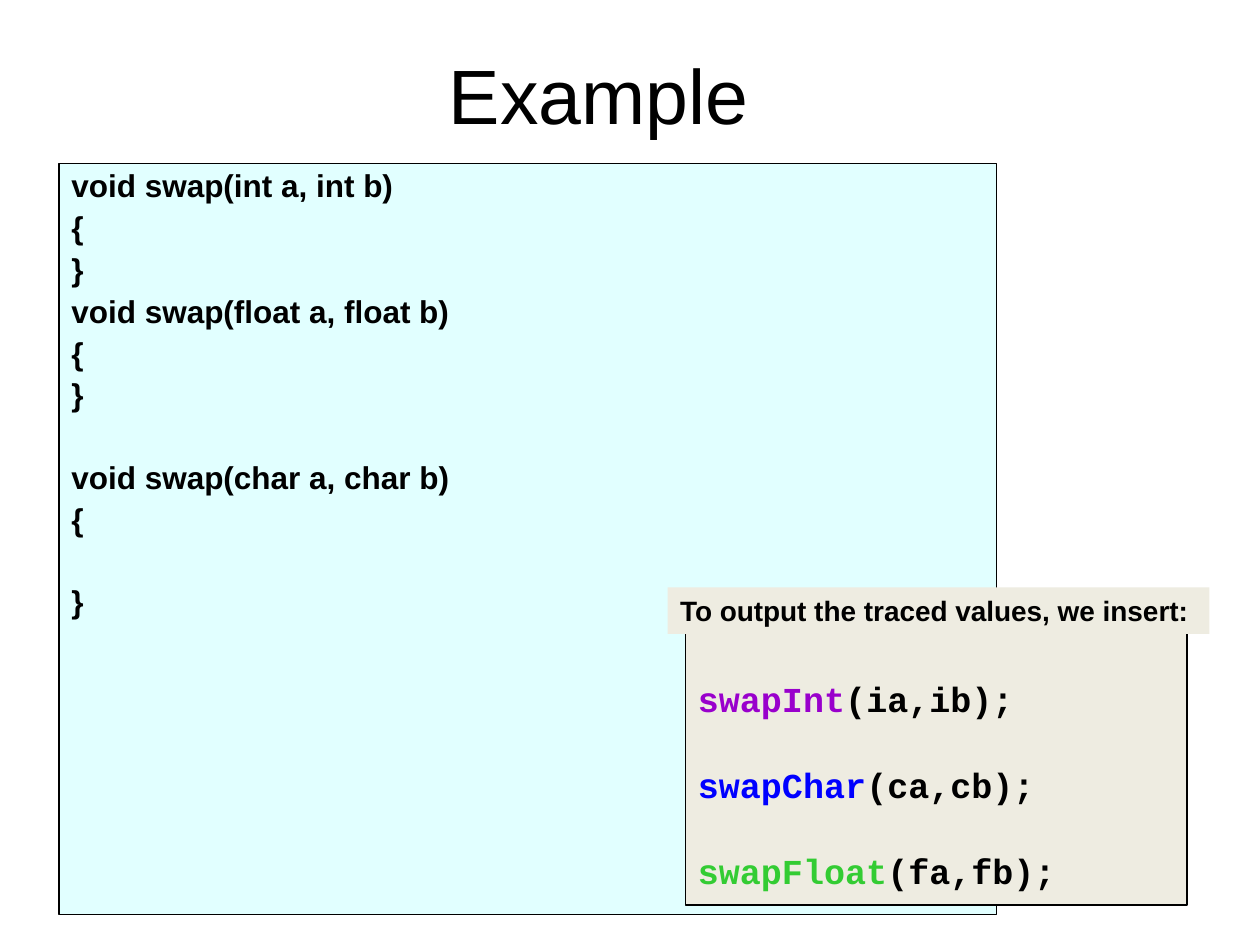
from pptx import Presentation
from pptx.dml.color import RGBColor
from pptx.enum.shapes import MSO_SHAPE
from pptx.enum.text import MSO_ANCHOR, PP_ALIGN
from pptx.util import Cm, Pt

RECTANGLE = MSO_SHAPE.RECTANGLE
TOP, MIDDLE, BOTTOM = MSO_ANCHOR.TOP, MSO_ANCHOR.MIDDLE, MSO_ANCHOR.BOTTOM
LEFT, CENTER = PP_ALIGN.LEFT, PP_ALIGN.CENTER

BLACK = RGBColor(0x00, 0x00, 0x00)
PALE_CYAN = RGBColor(0xE1, 0xFF, 0xFF)
BEIGE = RGBColor(0xEE, 0xEC, 0xE1)
PURPLE = RGBColor(0x99, 0x00, 0xCC)
BLUE = RGBColor(0x00, 0x00, 0xFF)
GREEN = RGBColor(0x33, 0xCC, 0x33)

SANS, MONO = "Arial", "Courier New"
LINE_GAP = 4.5    # points between lines of the listing
BLOCK_GAP = 27.6  # points where the listing skips a line
CALL_GAP = 25.3   # points between the calls


def add_run(paragraph, text, size=18, font=SANS, bold=True, color=BLACK):
    run = paragraph.add_run()
    run.text = text
    run.font.size = Pt(size)
    run.font.name = font
    run.font.bold = bold
    run.font.color.rgb = color


class SlideBuilder:
    def __init__(self, slide):
        self.slide = slide

    def prepare_frame(self, shape, anchor):
        frame = shape.text_frame
        frame.word_wrap = True
        frame.vertical_anchor = anchor
        frame.margin_left = frame.margin_right = Cm(0.25)
        frame.margin_top = frame.margin_bottom = Cm(0.13)
        return frame

    def add_title(self, text, left, top, width, height):
        shape = self.slide.shapes.add_textbox(Cm(left), Cm(top), Cm(width), Cm(height))
        paragraph = self.prepare_frame(shape, MIDDLE).paragraphs[0]
        paragraph.alignment = CENTER
        add_run(paragraph, text, size=44, bold=False)

    def add_box(self, left, top, width, height, fill, line_width=0, anchor=TOP):
        shape = self.slide.shapes.add_shape(
            RECTANGLE, Cm(left), Cm(top), Cm(width), Cm(height))
        shape.shadow.inherit = False
        shape.fill.solid()
        shape.fill.fore_color.rgb = fill
        if line_width:
            shape.line.color.rgb = BLACK
            shape.line.width = Pt(line_width)
        else:
            shape.line.fill.background()
        return self.prepare_frame(shape, anchor)

    def add_line(self, frame, index, gap=0, spacing=1.0):
        paragraph = frame.paragraphs[0] if index == 0 else frame.add_paragraph()
        paragraph.alignment = LEFT
        paragraph.line_spacing = spacing
        paragraph.space_before = Pt(gap if index else 0)
        return paragraph


def main():
    presentation = Presentation()
    presentation.slide_width, presentation.slide_height = Cm(25.4), Cm(19.05)
    slide = presentation.slides.add_slide(presentation.slide_layouts[6])
    builder = SlideBuilder(slide)

    builder.add_title("Example", 0.64, 0.81, 22.86, 2.16)

    # Listing of the overloaded functions
    listing = builder.add_box(1.19, 3.3, 18.9, 15.14, PALE_CYAN, line_width=0.75)
    code_lines = [
        ("void swap(int a, int b)", LINE_GAP), ("{", LINE_GAP), ("}", LINE_GAP),
        ("void swap(float a, float b)", LINE_GAP), ("{", LINE_GAP), ("}", LINE_GAP),
        ("void swap(char a, char b)", BLOCK_GAP), ("{", LINE_GAP), ("}", BLOCK_GAP),
    ]
    for index, (text, gap) in enumerate(code_lines):
        add_run(builder.add_line(listing, index, gap, spacing=0.9), text)

    # Calls to insert
    calls = builder.add_box(13.82, 11.89, 10.11, 6.35, BEIGE, line_width=1, anchor=BOTTOM)
    calls.margin_bottom = Cm(0.26)
    call_parts = [
        ("swapInt", "(ia,ib);", PURPLE),
        ("swapChar", "(ca,cb);", BLUE),
        ("swapFloat", "(fa,fb);", GREEN),
    ]
    for index, (name, arguments, color) in enumerate(call_parts):
        paragraph = builder.add_line(calls, index, CALL_GAP)
        add_run(paragraph, name, size=20, font=MONO, color=color)
        add_run(paragraph, arguments, size=20, font=MONO)

    # Heading over the calls
    heading = builder.add_box(13.46, 11.84, 10.92, 0.94, BEIGE)
    add_run(builder.add_line(heading, 0), "To output the traced values, we insert:", size=16)

    presentation.save("out.pptx")


if __name__ == "__main__":
    main()
